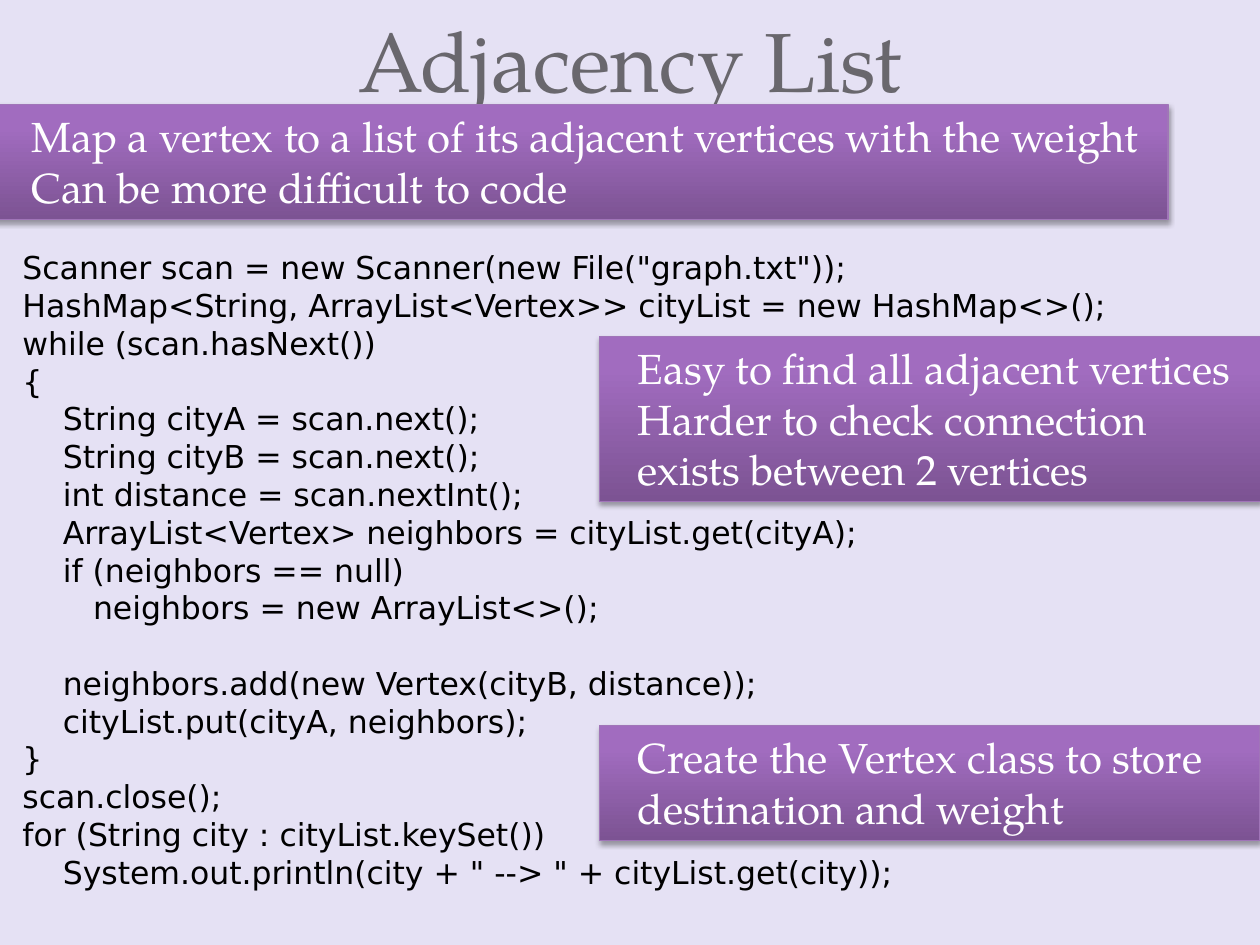
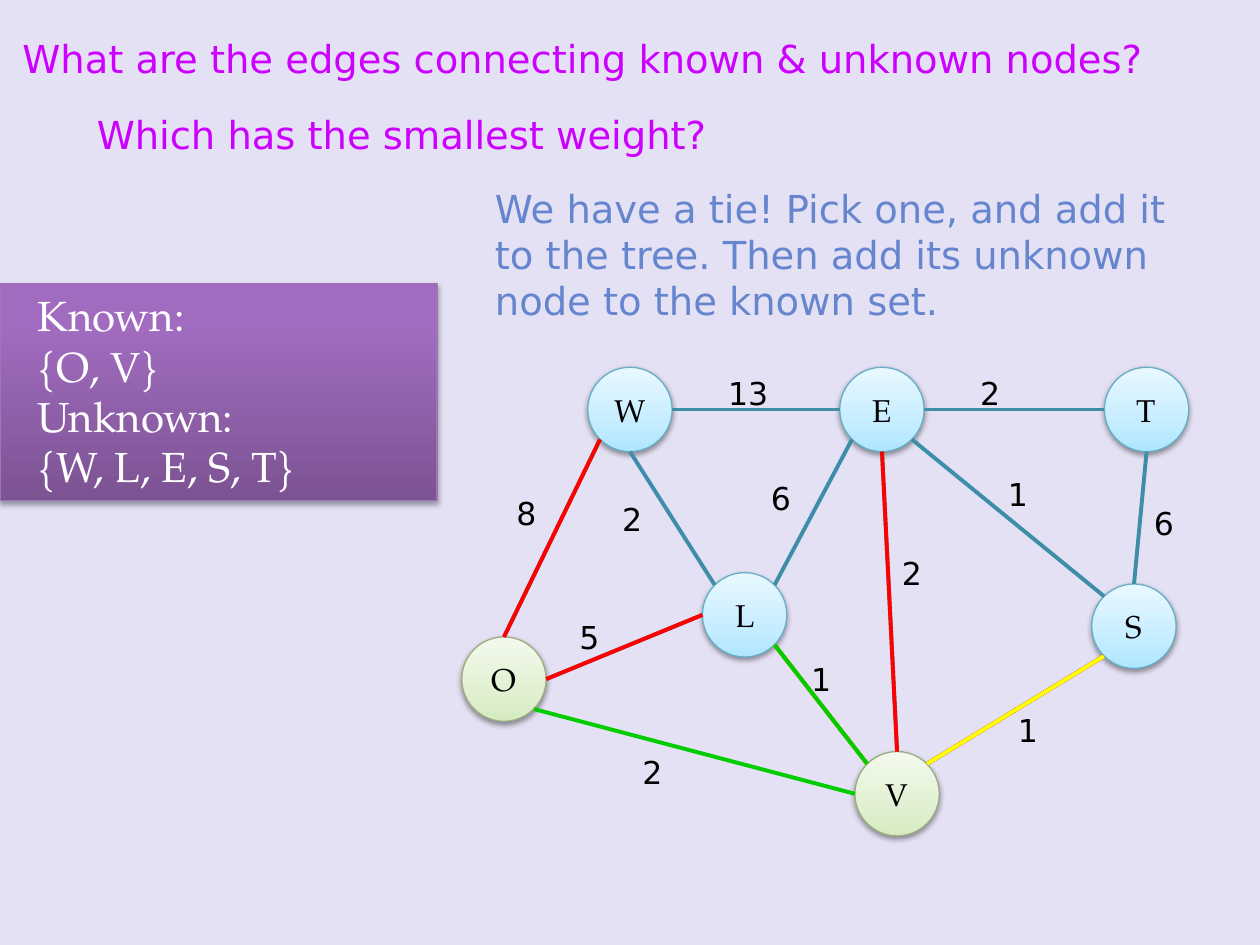
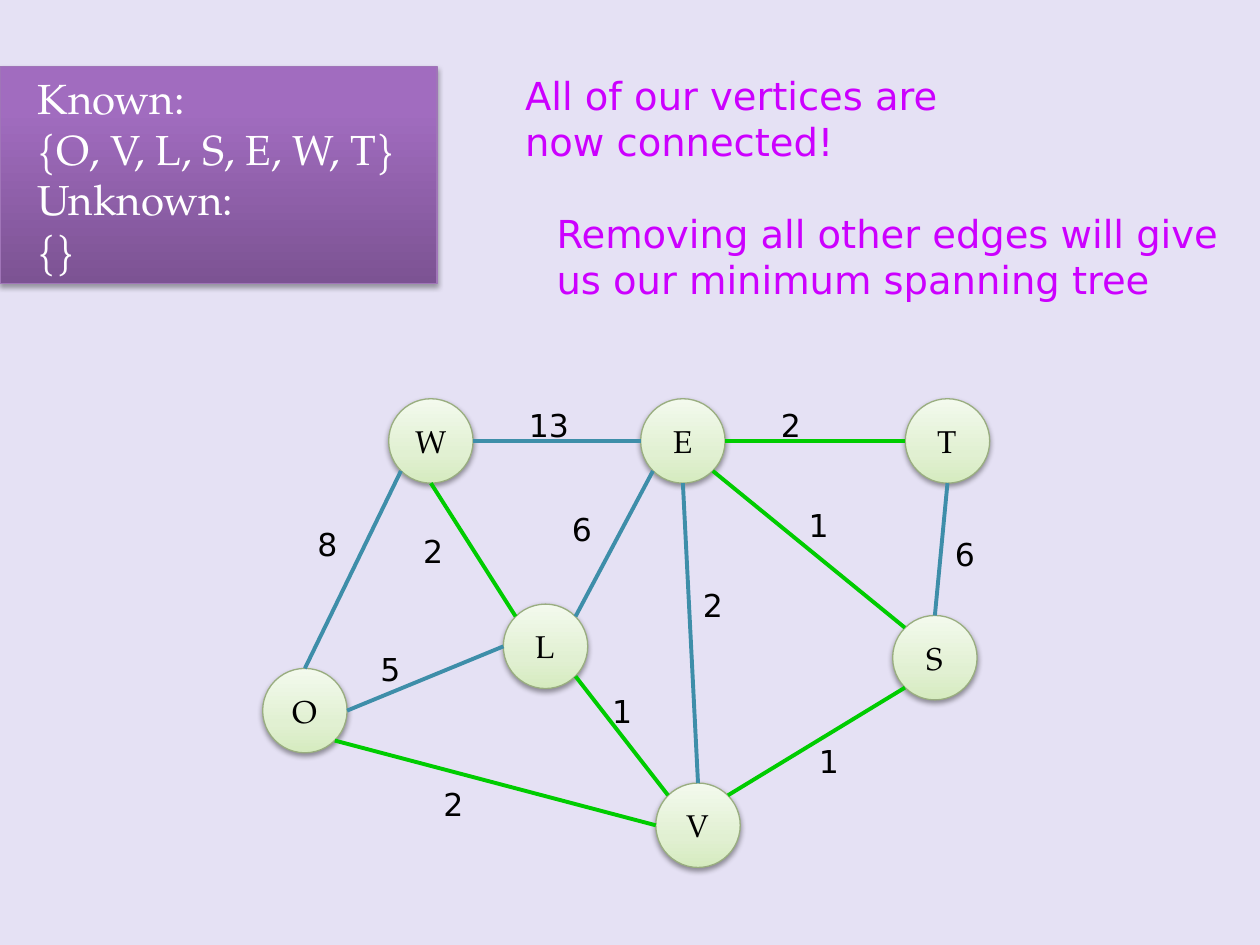
"""Build three slides on adjacency lists and minimum spanning trees."""
import copy
import pptx
import pptx.util
import pptx.dml.color
import pptx.enum.shapes
import pptx.enum.text
import lxml.etree
from pptx.oxml.ns import qn

Inches, Pt = pptx.util.Inches, pptx.util.Pt
Shape = pptx.enum.shapes.MSO_SHAPE
Anchor = pptx.enum.text.MSO_ANCHOR
Align = pptx.enum.text.PP_ALIGN
Fit = pptx.enum.text.MSO_AUTO_SIZE

SERIF, SANS = "TeX Gyre Pagella", "DejaVu Sans"
HEX = {"back": "E5E1F4", "title": "69676D", "white": "FFFFFF", "black": "000000",
       "pink": "CC00FF", "blue": "6585CF", "edge": "3E8EA9", "red": "FF0000",
       "yellow": "FFFF00", "green": "00CC00"}
BAND = {"stops": [(0, "7C5393"), (0.8, "A16CBF"), (1, "A26BC1")],
        "line": "A075B8", "alpha": 35, "drop": 1.8}
OPEN = {"stops": [(0, "AEE6FF"), (0.35, "C6EDFF"), (1, "E9F8FF")],
        "line": "66AEC7", "alpha": 38, "drop": 1.6}
KNOWN = {"stops": [(0, "D5EBBF"), (0.35, "E1F0D2"), (1, "F3FAED")],
         "line": "99AD80", "alpha": 38, "drop": 1.6}

CODE = [
    (0, 'Scanner scan = new Scanner(new File("graph.txt"));'),
    (0, "HashMap<String, ArrayList<Vertex>> cityList = new HashMap<>();"),
    (0, "while (scan.hasNext())"),
    (0, "{"),
    (4, "String cityA = scan.next();"),
    (4, "String cityB = scan.next();"),
    (4, "int distance = scan.nextInt();"),
    (4, "ArrayList<Vertex> neighbors = cityList.get(cityA);"),
    (4, "if (neighbors == null)"),
    (7, "neighbors = new ArrayList<>();"),
    (4, "neighbors.add(new Vertex(cityB, distance));"),
    (4, "cityList.put(cityA, neighbors);"),
    (0, "}"),
    (0, "scan.close();"),
    (0, "for (String city : cityList.keySet())"),
    (4, 'System.out.println(city + " --> " + cityList.get(city));'),
]
GAP = 10
SPACE = 0.08

NOTES = [
    ((-0.05, 0.83, 9.32, 0.91),
     ["Map a vertex to a list of its adjacent vertices with the weight",
      "Can be more difficult to code"]),
    ((4.76, 2.67, 5.25, 1.31),
     ["Easy to find all adjacent vertices",
      "Harder to check connection exists between 2 vertices"]),
    ((4.76, 5.76, 5.24, 0.91),
     ["Create the Vertex class to store destination and weight"]),
]

NODES = {"W": (5, 3.25), "E": (7, 3.25), "S": (9, 4.97), "V": (7.12, 6.3),
         "L": (5.91, 4.88), "O": (4, 5.39), "T": (9.1, 3.25)}
SIZE = 0.67
DIAG = 0.71
SIDES = {"n": (0, -1), "e": (1, 0), "s": (0, 1), "w": (-1, 0),
         "ne": (DIAG, -DIAG), "se": (DIAG, DIAG),
         "sw": (-DIAG, DIAG), "nw": (-DIAG, -DIAG)}
EDGES = {
    "VE": ("n", "s", "2", (7.06, 4.35)),
    "WE": ("e", "w", "13", (5.68, 2.92)),
    "SE": ("nw", "se", "1", (7.9, 3.72)),
    "SV": ("sw", "ne", "1", (7.98, 5.59)),
    "WO": ("sw", "n", "8", (4, 3.87)),
    "WL": ("s", "nw", "2", (4.84, 3.92)),
    "LE": ("ne", "sw", "6", (6.02, 3.75)),
    "TS": ("s", "n", "6", (9.06, 3.95)),
    "OV": ("se", "w", "2", (5, 5.93)),
    "OL": ("e", "w", "5", (4.5, 4.86)),
    "VL": ("nw", "se", "1", (6.34, 5.19)),
    "ET": ("e", "w", "2", (7.68, 2.92)),
}

STEPS = [
    {"known": "OV", "tree": ["OV"], "move": (0, 0),
     "marks": [("red", ["WO", "OL", "VL", "VE", "SV"]),
               ("yellow", ["VL", "SV"]), ("green", ["VL"])],
     "box": (0, 2.25, 3.47, 1.72),
     "sets": ["Known:", "{O, V}", "Unknown:", "{W, L, E, S, T}"],
     "texts": [
         ((0.08, 0.23, 9.92, 0.47), "pink",
          "What are the edges connecting known & unknown nodes?"),
         ((0.67, 0.83, 8.68, 0.47), "pink", "Which has the smallest weight?"),
         ((3.83, 1.42, 5.78, 1.21), "blue",
          "We have a tie! Pick one, and add it to the tree. "
          "Then add its unknown node to the known set.")]},
    {"known": "OVLSEWT", "tree": ["OV", "VL", "SV", "SE", "WL", "ET"],
     "move": (-1.58, 0.25), "marks": [],
     "box": (0, 0.53, 3.47, 1.72),
     "sets": ["Known:", "{O, V, L, S, E, W, T}", "Unknown:", "{}"],
     "texts": [
         ((4.07, 0.52, 3.8, 0.84), "pink",
          "All of our vertices are now connected!"),
         ((4.32, 1.62, 5.53, 0.84), "pink",
          "Removing all other edges will give us our minimum spanning tree")]},
]


def paint(code):
    return pptx.dml.color.RGBColor.from_string(code)


def write(frame, lines, font, size, hue, align=Align.LEFT):
    frame.word_wrap = True
    for num, line in enumerate(lines):
        para = frame.paragraphs[0] if num == 0 else frame.add_paragraph()
        para.alignment = align
        run = para.add_run()
        run.text = line
        run.font.name, run.font.size = font, Pt(size)
        run.font.color.rgb = paint(HEX[hue])


def add_text(shapes, box, lines, size, hue):
    frame = shapes.add_textbox(*map(Inches, box)).text_frame
    write(frame, lines, SANS, size, hue)
    frame.auto_size = Fit.SHAPE_TO_FIT_TEXT
    return frame


def add_form(shapes, kind, box, look):
    form = shapes.add_shape(kind, *map(Inches, box))
    form.fill.gradient()
    form.fill.gradient_angle = 90
    props = form._element.spPr
    stops = props.find(".//" + qn("a:gsLst"))
    stops.append(copy.deepcopy(stops[0]))
    for stop, (pos, code) in zip(form.fill.gradient_stops, look["stops"]):
        stop.position = pos
        stop.color.rgb = paint(code)
    form.line.color.rgb = paint(look["line"])
    form.line.width = Pt(0.75)
    form.shadow.inherit = False
    shade = lxml.etree.SubElement(
        props.find(qn("a:effectLst")), qn("a:outerShdw"), blurRad=str(Pt(3.1)),
        dist=str(Pt(look["drop"])), dir="5400000", rotWithShape="0")
    tone = lxml.etree.SubElement(shade, qn("a:srgbClr"), val=HEX["black"])
    lxml.etree.SubElement(tone, qn("a:alpha"), val=str(look["alpha"] * 1000))
    return form


def add_band(shapes, box, lines):
    frame = add_form(shapes, Shape.RECTANGLE, box, BAND).text_frame
    frame.margin_left = Inches(0.3)
    frame.vertical_anchor = Anchor.TOP
    write(frame, lines, SERIF, 24, "white")
    frame.auto_size = Fit.SHAPE_TO_FIT_TEXT


def add_edge(shapes, name, hue, move):
    ends = []
    for node, side in zip(name, EDGES[name]):
        for mid, way, off in zip(NODES[node], SIDES[side], move):
            ends.append(Inches(mid + way * SIZE / 2 + off))
    line = shapes.add_connector(pptx.enum.shapes.MSO_CONNECTOR.STRAIGHT, *ends)
    line.line.color.rgb = paint(HEX[hue])
    line.line.width = Pt(2.25)
    lxml.etree.SubElement(line._element.spPr, qn("a:effectLst"))


def add_graph(slide, step):
    shapes = slide.shapes.add_group_shape().shapes
    dx, dy = step["move"]
    for name, (x, y) in NODES.items():
        look = KNOWN if name in step["known"] else OPEN
        box = (x + dx - SIZE / 2, y + dy - SIZE / 2, SIZE, SIZE)
        frame = add_form(shapes, Shape.OVAL, box, look).text_frame
        frame.vertical_anchor = Anchor.MIDDLE
        write(frame, [name], SERIF, 18, "black", Align.CENTER)
    for name, (_, _, cost, (x, y)) in EDGES.items():
        add_edge(shapes, name, "green" if name in step["tree"] else "edge", step["move"])
        add_text(shapes, (x + dx, y + dy, 0.77, 0.4), [cost], 18, "black")


def add_list(deck):
    slide = deck.slides.add_slide(deck.slide_layouts[5])
    title = slide.shapes.title
    title.left, title.top, title.width, title.height = map(Inches, (0.5, -0.83, 9, 1.75))
    frame = title.text_frame
    frame.auto_size = Fit.NONE
    frame.vertical_anchor = Anchor.BOTTOM
    write(frame, ["Adjacency List"], SERIF, 48, "title", Align.CENTER)
    frame.paragraphs[0].line_spacing = Pt(58)
    add_band(slide.shapes, *NOTES[0])
    frame = add_text(slide.shapes, (0.08, 1.92, 9.75, 5.25),
                     [line for _, line in CODE], 18, "black")
    for para, (depth, _) in zip(frame.paragraphs, CODE):
        para._p.get_or_add_pPr().set("marL", str(Inches(depth * SPACE)))
    frame.paragraphs[GAP].space_before = Pt(21.5)
    for note in NOTES[1:]:
        add_band(slide.shapes, *note)


def add_step(deck, step):
    slide = deck.slides.add_slide(deck.slide_layouts[6])
    add_graph(slide, step)
    add_band(slide.shapes, step["box"], step["sets"])
    for hue, names in step["marks"]:
        for name in names:
            add_edge(slide.shapes, name, hue, step["move"])
    for box, hue, line in step["texts"]:
        add_text(slide.shapes, box, [line], 22, hue)


def main():
    deck = pptx.Presentation()
    deck.slide_width, deck.slide_height = Inches(10), Inches(7.5)
    fill = deck.slide_master.background.fill
    fill.solid()
    fill.fore_color.rgb = paint(HEX["back"])
    add_list(deck)
    for step in STEPS:
        add_step(deck, step)
    deck.save("out.pptx")


if __name__ == "__main__":
    main()
